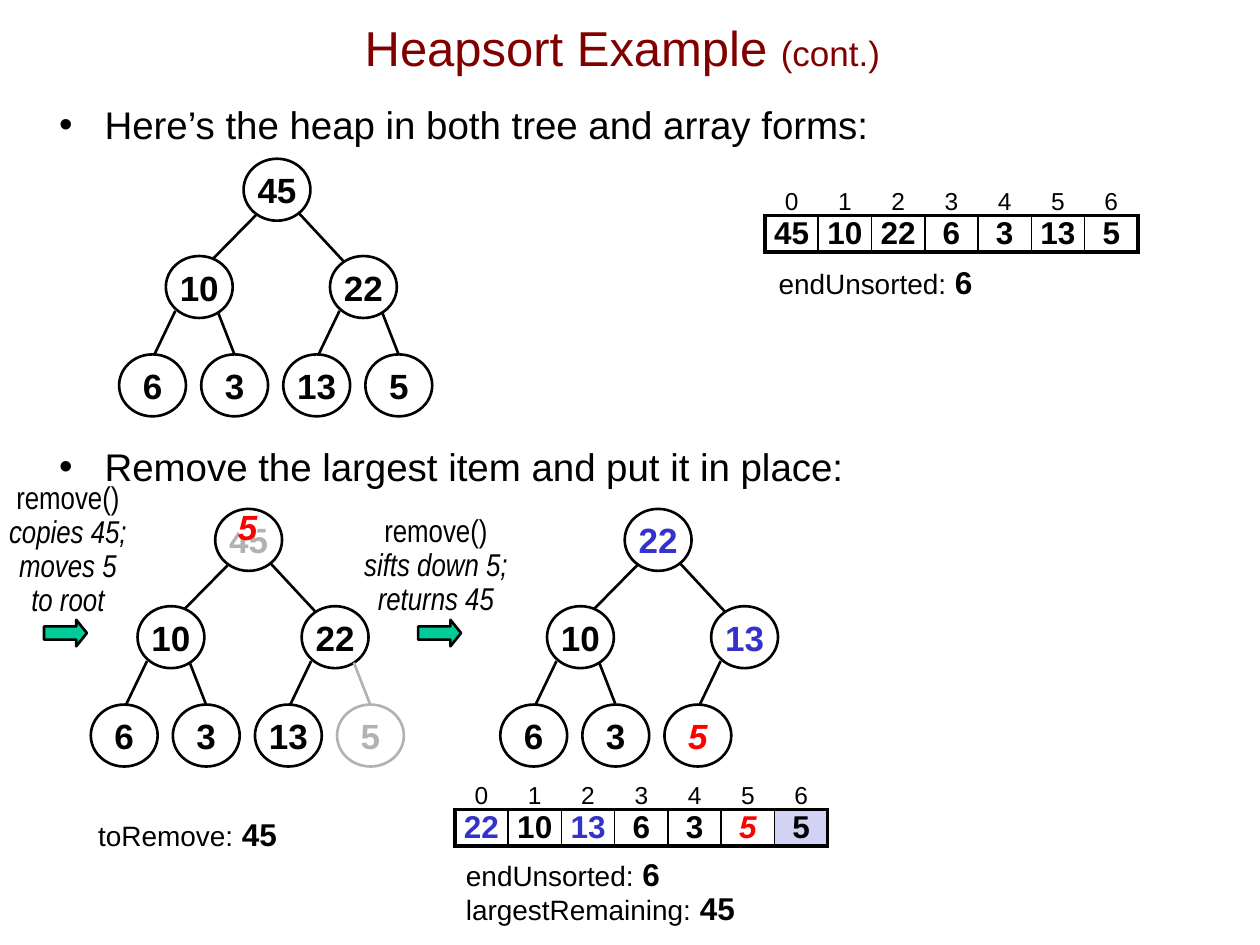
from lxml import etree
from pptx import Presentation
from pptx.dml.color import RGBColor
from pptx.enum import shapes, text
from pptx.oxml import ns
from pptx.util import Pt

COLORS = {"black": "000000", "title": "800000", "gray": "B2B2B2", "blue": "3333CC",
          "red": "FF0000", "arrow": "00CC99", "white": "FFFFFF", "sorted": "D2D2F4"}
TITLE = [("Heapsort Example ", 28), ("(cont.)", 20)]
BULLETS = [("Here’s the heap in both tree and array forms:", 0),
           ("Remove the largest item and put it in place:", 169)]

TREES = [
    (139.2, 90.7, ["45", "10", "22", "6", "3", "13", "5"], {}),
    (123, 290.8, ["45", "10", "22", "6", "3", "13", "5"], {0: "gray", 6: "gray"}),
    (357, 290.8, ["22", "10", "13", "6", "3", "5"], {0: "blue", 2: "blue", 5: "red"}),
]
GRAY_OUTLINES = {(1, 6)}
NODE_W, NODE_H = 38.2, 35.4
LEAF_STEP = 46.9
NODE_OFFSETS = [(0, 0), (-44.4, 55.6), (49.4, 55.6)] + [
    (-71.1 + LEAF_STEP * leaf, 111.8) for leaf in range(4)]
ROOT_EDGES = [((7, 32.3), (-17.3, 57)), ((31.5, 31), (57.5, 59))]
INNER_EDGES = [((5.4, 31.4), (-6.8, 56.8)), ((29.8, 32.2), (39, 55.8))]

ARRAYS = [
    (437.1, 103.5, ["45", "10", "22", "6", "3", "13", "5"], {}, None),
    (259.9, 443, ["22", "10", "13", "6", "3", "5", "5"],
     {0: "blue", 2: "blue", 5: "red"}, 6),
]
CELL_W, INDEX_H, VALUE_H = 30.45, 19.7, 20.8

VARIABLES = [
    (437.8, 146.9, 125.3, 28.8, 1, [("endUnsorted:", "6")]),
    (49, 462.2, 116.6, 28.8, 1, [("toRemove:", "45")]),
    (259.2, 487.4, 168.5, 46.1, 0.9, [("endUnsorted:", "6"), ("largestRemaining:", "45")]),
]
STEPS = [
    (-2.2, 272.2, 82.1, 85, ["copies 45;", "moves 5", "to root"]),
    (200.9, 290.9, 96.5, 65.5, ["sifts down 5;", "returns 45"]),
]
ARROWS = [(25.2, 354.2), (239, 354.2)]


def rgb(name):
    return RGBColor.from_string(COLORS[name])


def add_span(para, words, size, color="black", bold=False, italic=False, font="Arial"):
    span = para.add_run()
    span.text = words
    span.font.name = font
    span.font.size = Pt(size)
    span.font.bold = bold
    span.font.italic = italic
    span.font.color.rgb = rgb(color)


def set_margins(target, left, top, right, bottom):
    target.margin_left, target.margin_top = Pt(left), Pt(top)
    target.margin_right, target.margin_bottom = Pt(right), Pt(bottom)


def place(box, left, top, width, height):
    box.left, box.top, box.width, box.height = Pt(left), Pt(top), Pt(width), Pt(height)


def add_outline(page, kind, left, top, width, height, line="black", fill=None):
    shape = page.shapes.add_shape(kind, Pt(left), Pt(top), Pt(width), Pt(height))
    shape.shadow.inherit = False
    if fill:
        shape.fill.solid()
        shape.fill.fore_color.rgb = rgb(fill)
    else:
        shape.fill.background()
    if line:
        shape.line.color.rgb = rgb(line)
        shape.line.width = Pt(1.5)
    else:
        shape.line.fill.background()
    return shape


def add_node(page, left, top, label, color, line="black"):
    frame = add_outline(page, shapes.MSO_SHAPE.OVAL, left, top, NODE_W, NODE_H, line).text_frame
    set_margins(frame, 0, 0, 0, 0)
    frame.vertical_anchor = text.MSO_ANCHOR.MIDDLE
    para = frame.paragraphs[0]
    para.alignment = text.PP_ALIGN.CENTER
    add_span(para, label, 20, color, True, color == "red")


def add_edge(page, start, end, color):
    edge = page.shapes.add_connector(shapes.MSO_CONNECTOR.STRAIGHT, *map(Pt, start + end))
    edge.line.color.rgb = rgb(color)
    edge.line.width = Pt(1.5)
    etree.SubElement(edge.element.spPr, ns.qn("a:effectLst"))


def add_tree(page, number, left, top, labels, colors):
    for index, label in enumerate(labels):
        dx, dy = NODE_OFFSETS[index]
        line = "gray" if (number, index) in GRAY_OUTLINES else "black"
        add_node(page, left + dx, top + dy, label, colors.get(index, "black"), line)
        if index:
            parent = (index - 1) // 2
            px, py = NODE_OFFSETS[parent]
            edges = INNER_EDGES if parent else ROOT_EDGES
            start, end = [(left + px + x, top + py + y) for x, y in edges[(index - 1) % 2]]
            add_edge(page, start, end, line)


def add_borders(cell, widths):
    properties = cell._tc.get_or_add_tcPr()
    for position, (side, width) in enumerate(widths):
        border = etree.Element(ns.qn("a:" + side), w=str(Pt(width)))
        fill = etree.SubElement(border, ns.qn("a:solidFill"))
        etree.SubElement(fill, ns.qn("a:srgbClr"), val=COLORS["black"])
        properties.insert(position, border)


def add_array(page, left, top, values, colors, shaded):
    count = len(values)
    table = page.shapes.add_table(2, count, Pt(left), Pt(top), Pt(CELL_W * count),
                                  Pt(INDEX_H + VALUE_H)).table
    table.first_row = table.horz_banding = False
    table.rows[0].height, table.rows[1].height = Pt(INDEX_H), Pt(VALUE_H)
    for column, value in enumerate(values):
        table.columns[column].width = Pt(CELL_W)
        index_cell, value_cell = table.cell(0, column), table.cell(1, column)
        set_margins(index_cell, 7.2, 3.6, 7.2, 0)
        set_margins(value_cell, 0, 0, 0, 0)
        index_cell.vertical_anchor = text.MSO_ANCHOR.BOTTOM
        color = colors.get(column, "black")
        for cell, words, style in ((index_cell, str(column), (14,)),
                                   (value_cell, value, (18, color, True, color == "red"))):
            cell.fill.background()
            para = cell.text_frame.paragraphs[0]
            para.alignment = text.PP_ALIGN.CENTER
            add_span(para, words, *style)
        if column == shaded:
            value_cell.fill.solid()
            value_cell.fill.fore_color.rgb = rgb("sorted")
        add_borders(index_cell, [("lnB", 2.25)])
        add_borders(value_cell, [("lnL", 1 if column else 2.25),
                                 ("lnR", 1 if column < count - 1 else 2.25),
                                 ("lnT", 2.25), ("lnB", 2.25)])


def add_text(page, left, top, width, height, count, spacing):
    frame = page.shapes.add_textbox(Pt(left), Pt(top), Pt(width), Pt(height)).text_frame
    frame.word_wrap = False
    frame.auto_size = text.MSO_AUTO_SIZE.SHAPE_TO_FIT_TEXT
    for _ in range(count - 1):
        frame.add_paragraph()
    for para in frame.paragraphs:
        para.line_spacing = spacing
    return frame.paragraphs


def fill_placeholders(page):
    title, body = page.placeholders
    place(title, 46.1, -6.5, 619.2, 67)
    place(body, 26.6, 54, 693.4, 442.1)
    for box in (title, body):
        box.text_frame.auto_size = text.MSO_AUTO_SIZE.NONE
    title.text_frame.vertical_anchor = text.MSO_ANCHOR.MIDDLE
    heading = title.text_frame.paragraphs[0]
    heading.alignment = text.PP_ALIGN.CENTER
    for words, size in TITLE:
        add_span(heading, words, size, "title")
    body.text_frame.add_paragraph()
    for para, (words, gap) in zip(body.text_frame.paragraphs, BULLETS):
        properties = para._p.get_or_add_pPr()
        properties.set("marL", str(Pt(26)))
        properties.set("indent", str(Pt(-26)))
        etree.SubElement(properties, ns.qn("a:buFont"), typeface="Arial")
        etree.SubElement(properties, ns.qn("a:buChar"), char="•")
        para.space_before = Pt(gap)
        add_span(para, words, 22)


def main():
    deck = Presentation()
    deck.slide_width, deck.slide_height = Pt(720), Pt(540)
    page = deck.slides.add_slide(deck.slide_layouts[1])
    fill_placeholders(page)
    for number, tree in enumerate(TREES):
        add_tree(page, number, *tree)
    add_outline(page, shapes.MSO_SHAPE.OVAL, 135.4, 291.6, 12.2, 16.6, None, "white")
    add_node(page, 122.4, 283, "5", "red", None)
    for array in ARRAYS:
        add_array(page, *array)
    for left, top, width, height, spacing, rows in VARIABLES:
        paras = add_text(page, left, top, width, height, len(rows), spacing)
        for para, (name, value) in zip(paras, rows):
            add_span(para, name, 16)
            add_span(para, " " + value, 18, bold=True)
    for left, top, width, height, lines in STEPS:
        call, effect = add_text(page, left, top, width, height, 2, 0.9)
        call.alignment = effect.alignment = text.PP_ALIGN.CENTER
        add_span(call, "remove()", 18, font="Arial Narrow")
        for index, line in enumerate(lines):
            if index:
                effect.add_line_break()
            add_span(effect, line, 18, italic=True, font="Arial Narrow")
    for left, top in ARROWS:
        arrow = add_outline(page, shapes.MSO_SHAPE.RIGHT_ARROW, left, top, 24.5, 15.1,
                            fill="arrow")
        arrow.adjustments[0], arrow.adjustments[1] = 0.5, 0.4
    deck.save("out.pptx")


if __name__ == "__main__":
    main()
